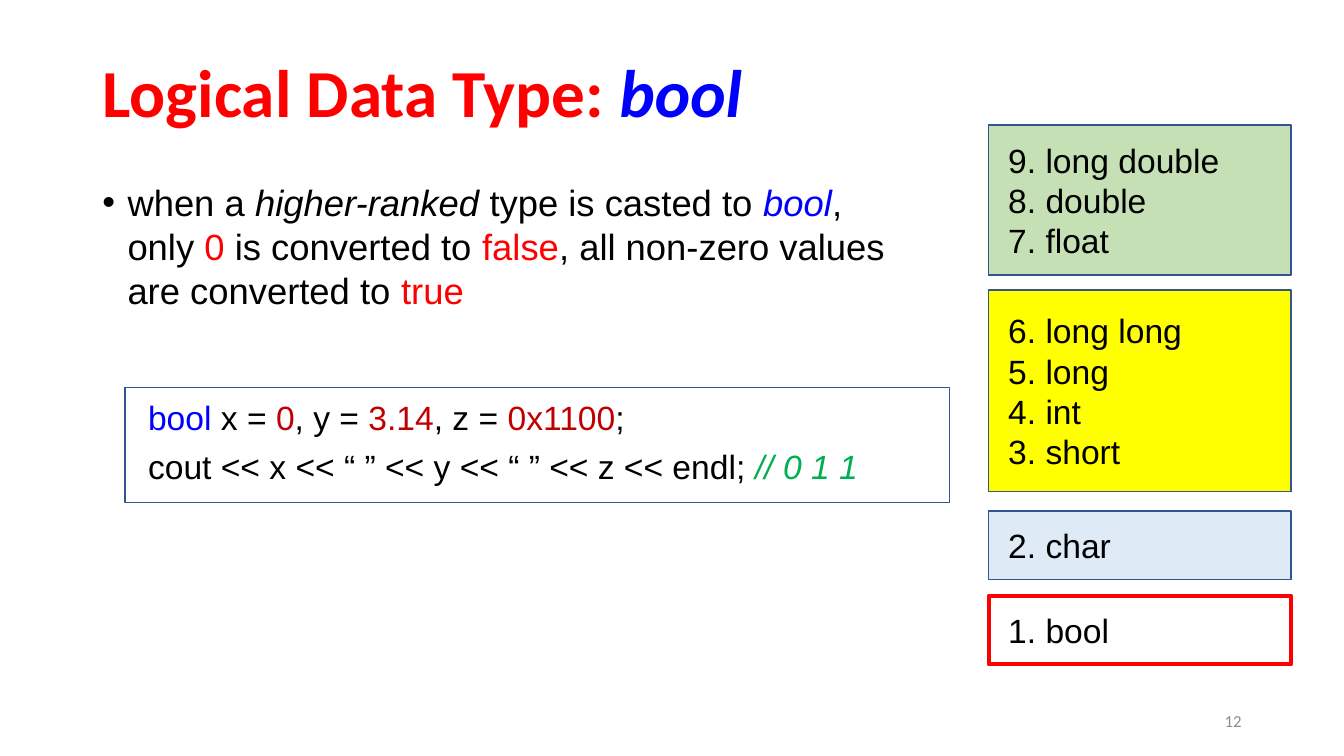
from lxml import etree
from pptx import Presentation
from pptx.dml.color import RGBColor
from pptx.enum.shapes import MSO_SHAPE
from pptx.enum.text import MSO_ANCHOR, MSO_AUTO_SIZE, PP_ALIGN
from pptx.oxml.ns import qn
from pptx.util import Pt

RECT = MSO_SHAPE.RECTANGLE
TOP, MIDDLE = MSO_ANCHOR.TOP, MSO_ANCHOR.MIDDLE
LEFT, RIGHT = PP_ALIGN.LEFT, PP_ALIGN.RIGHT
FIXED = MSO_AUTO_SIZE.NONE

BLACK = RGBColor(0x00, 0x00, 0x00)
WHITE = RGBColor(0xFF, 0xFF, 0xFF)
RED = RGBColor(0xFF, 0x00, 0x00)
BLUE = RGBColor(0x00, 0x00, 0xFF)
CRIMSON = RGBColor(0xC0, 0x00, 0x00)
LEAF = RGBColor(0x00, 0xB0, 0x50)
GRAY = RGBColor(0x8C, 0x8C, 0x8C)
NAVY = RGBColor(0x32, 0x54, 0x91)
GREEN = RGBColor(0xC5, 0xE0, 0xB4)
YELLOW = RGBColor(0xFF, 0xFF, 0x00)
PALE = RGBColor(0xDE, 0xEB, 0xF7)


def write(shape, lines, size=24, font="Arial", bold=False, align=LEFT,
          anchor=TOP, inset=7.2, gap=0, pitch=None, bullet=False):
    """Fill a shape; each line is a list of (text, colour[, italic]) runs."""
    frame = shape.text_frame
    frame.word_wrap = True
    frame.auto_size = FIXED
    frame.vertical_anchor = anchor
    frame.margin_left = Pt(inset)
    for i, runs in enumerate(lines):
        para = frame.add_paragraph() if i else frame.paragraphs[0]
        para.alignment = align
        if i and gap:
            para.space_before = Pt(gap)
        if pitch:
            para.line_spacing = pitch
        if bullet:
            add_bullet(para)
        for text, color, *slant in runs:
            run = para.add_run()
            run.text = text
            run.font.size = Pt(size)
            run.font.name = font
            run.font.bold = bold
            run.font.italic = bool(slant)
            run.font.color.rgb = color


def add_bullet(para):
    props = para._p.get_or_add_pPr()
    props.set("marL", str(Pt(18)))
    props.set("indent", str(-Pt(18)))
    etree.SubElement(props, qn("a:buFont")).set("typeface", "Arial")
    etree.SubElement(props, qn("a:buChar")).set("char", "•")


def add_rect(slide, box, line, width=1, fill=None):
    rect = slide.shapes.add_shape(RECT, *map(Pt, box))
    rect.shadow.inherit = False
    if fill is None:
        rect.fill.background()
    else:
        rect.fill.solid()
        rect.fill.fore_color.rgb = fill
    rect.line.color.rgb = line
    rect.line.width = Pt(width)
    return rect


def add_title(slide, box):
    title = slide.shapes.title
    title.left, title.top, title.width, title.height = map(Pt, box)
    write(title, [[("Logical Data Type: ", RED), ("bool", BLUE, True)]],
          size=48, font="Calibri", bold=True, anchor=MIDDLE, pitch=0.9)


def add_rule(slide, box):
    body = slide.shapes.add_textbox(*map(Pt, box))
    write(body, [[
        ("when a ", BLACK), ("higher-ranked", BLACK, True),
        (" type is casted to ", BLACK), ("bool", BLUE, True),
        (", only ", BLACK), ("0", RED), (" is converted to ", BLACK),
        ("false", RED), (", all non-zero values are converted to ", BLACK),
        ("true", RED),
    ]], size=26, bullet=True)


def add_ranks(slide, box):
    """Stack the groups of types, highest rank first."""
    left, top, width, _ = box
    groups = [
        (0, 107.3, GREEN, NAVY, 1, ["9. long double", "8. double", "7. float"]),
        (118, 144, YELLOW, NAVY, 1,
         ["6. long long", "5. long", "4. int", "3. short"]),
        (275.8, 49, PALE, NAVY, 1, ["2. char"]),
        (336.2, 49, WHITE, RED, 3, ["1. bool"]),
    ]
    for drop, height, fill, line, weight, names in groups:
        rect = add_rect(slide, (left, top + drop, width, height),
                        line, weight, fill)
        write(rect, [[(name, BLACK)] for name in names],
              anchor=MIDDLE, inset=13.9)


def add_code(slide, box):
    left, top, width, height = box
    code = add_rect(slide, (left + 9.4, top + 3.6, width - 19.4, height - 10.8),
                    WHITE, 0.75)
    write(code, [
        [("bool", BLUE), (" x = ", BLACK), ("0", CRIMSON), (", y = ", BLACK),
         ("3.14", CRIMSON), (", z =", BLACK), (" 0x1100", CRIMSON),
         (";", BLACK)],
        [("cout << x << “ ” << y << “ ” << z << endl; ", BLACK),
         ("// 0 1 1", LEAF, True)],
    ], gap=6)
    add_rect(slide, box, NAVY)


def add_number(slide, box):
    number = slide.shapes.add_textbox(*map(Pt, box))
    write(number, [[("12", GRAY)]], size=12, font="Calibri",
          align=RIGHT, anchor=MIDDLE)


def main():
    deck = Presentation()
    deck.slide_width, deck.slide_height = Pt(960), Pt(540)
    slide = deck.slides.add_slide(deck.slide_layouts[5])
    add_title(slide, (66, 28.8, 828, 79.2))
    add_rule(slide, (66, 125.3, 575.3, 325.4))
    add_number(slide, (678, 500.5, 216, 28.8))
    add_ranks(slide, (706.3, 89.3, 216, 385.2))
    add_code(slide, (89.3, 276.7, 589, 82.1))
    deck.save("out.pptx")


if __name__ == "__main__":
    main()
